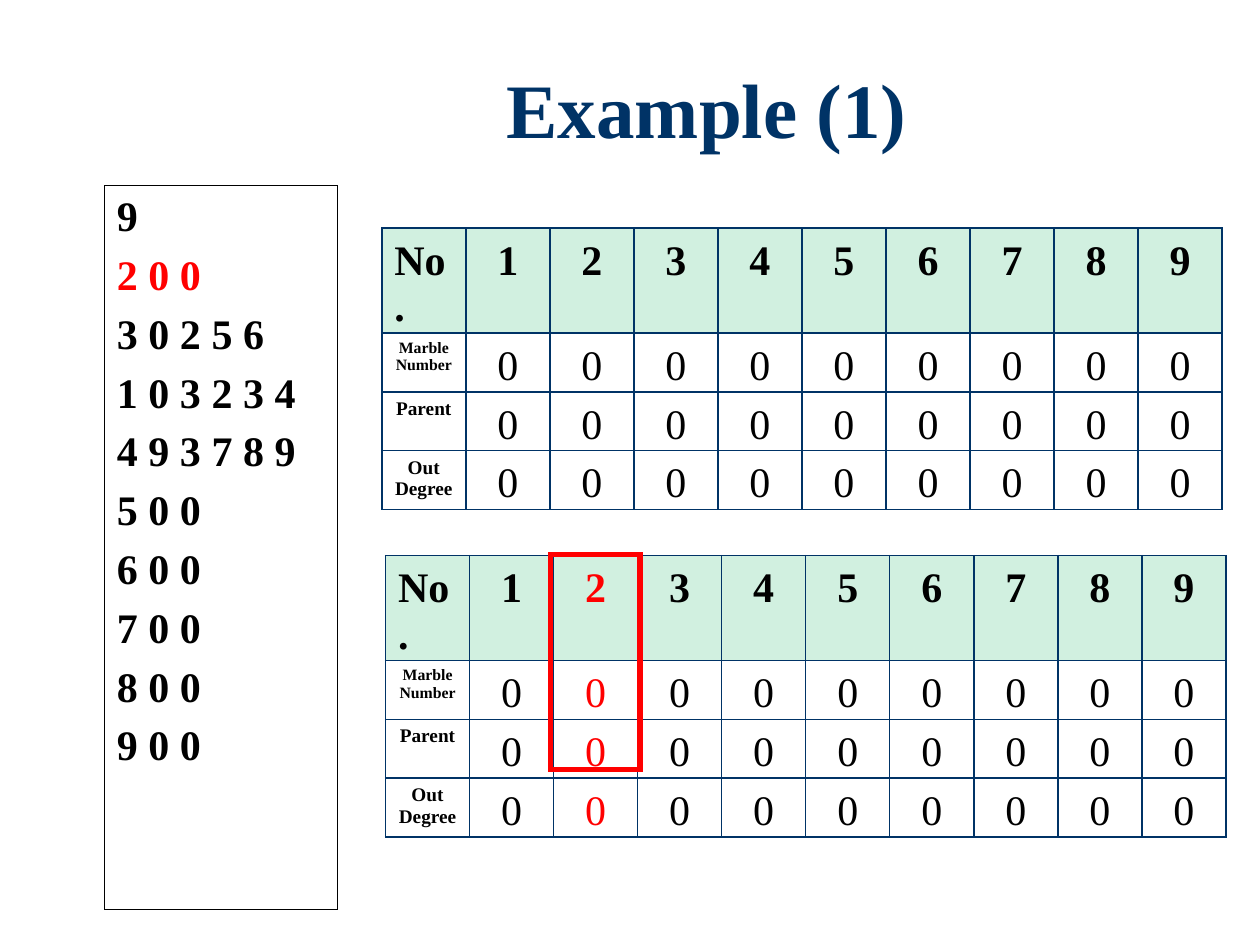
from lxml import etree
from pptx import Presentation
from pptx.dml.color import RGBColor
from pptx.enum.shapes import MSO_SHAPE
from pptx.enum.text import MSO_ANCHOR, PP_ALIGN
from pptx.oxml.ns import qn
from pptx.util import Inches, Pt

RECTANGLE = MSO_SHAPE.RECTANGLE
TOP, MIDDLE = MSO_ANCHOR.TOP, MSO_ANCHOR.MIDDLE
LEFT, CENTER, JUSTIFY = PP_ALIGN.LEFT, PP_ALIGN.CENTER, PP_ALIGN.JUSTIFY

FONT = "Times New Roman"
NAVY, BLACK, RED, WHITE, MINT = "003366", "000000", "FF0000", "FFFFFF", "D1F0E0"
LINE_HEIGHT = Pt(26.4)  # for 24 point text

INPUT_LINES = ["9", "2 0 0", "3 0 2 5 6", "1 0 3 2 3 4", "4 9 3 7 8 9",
               "5 0 0", "6 0 0", "7 0 0", "8 0 0", "9 0 0"]
ACTIVE_LINE = 1
NODE_COUNT = 9
ROW_LABELS = [("Marble\nNumber", 9), ("Parent", 11), ("Out\nDegree", 11)]


def color(value):
    return RGBColor.from_string(value)


def write(para, text, size=24, tint=BLACK, bold=True, align=CENTER,
          before=None, spacing=None):
    para.alignment = align
    if before is not None:
        para.space_before = Pt(before)
    if spacing is not None:
        para.line_spacing = spacing
    span = para.add_run()
    span.text = text
    span.font.name = FONT
    span.font.size = Pt(size)
    span.font.bold = bold
    span.font.color.rgb = color(tint)


def add_box(page, place, line, width, fill=None):
    box = page.shapes.add_shape(RECTANGLE, *map(Inches, place))
    box.shadow.inherit = False
    if fill:
        box.fill.solid()
        box.fill.fore_color.rgb = color(fill)
    else:
        box.fill.background()
    box.line.color.rgb = color(line)
    box.line.width = Pt(width)
    # Square corners
    outline = box._element.spPr.find(qn("a:ln"))
    etree.SubElement(outline, qn("a:miter"), lim="800000")
    return box


def add_title(page, place, text):
    frame = page.shapes.add_textbox(*map(Inches, place)).text_frame
    frame.word_wrap = True
    frame.vertical_anchor = MIDDLE
    frame.margin_top, frame.margin_bottom = 0, Inches(0.16)
    write(frame.paragraphs[0], text, size=44, tint=NAVY, spacing=0.9)


def add_input_list(page, place):
    frame = add_box(page, place, BLACK, 0.75, WHITE).text_frame
    frame.word_wrap = True
    frame.vertical_anchor = TOP
    frame.margin_top = Inches(0.07)
    for index, line in enumerate(INPUT_LINES):
        para = frame.add_paragraph() if index else frame.paragraphs[0]
        write(para, line, align=JUSTIFY, before=7.2 if index else 0,
              tint=RED if index == ACTIVE_LINE else BLACK, spacing=LINE_HEIGHT)


def style_cell(cell, fill):
    # Borders come before the fill in the cell properties
    properties = cell._tc.get_or_add_tcPr()
    for side in ("a:lnL", "a:lnR", "a:lnT", "a:lnB"):
        edge = etree.SubElement(properties, qn(side), w=str(Pt(1)))
        solid = etree.SubElement(edge, qn("a:solidFill"))
        etree.SubElement(solid, qn("a:srgbClr"), val=NAVY)
    cell.fill.solid()
    cell.fill.fore_color.rgb = color(fill)


def write_label(cell, label, size):
    for index, line in enumerate(label.split("\n")):
        frame = cell.text_frame
        para = frame.add_paragraph() if index else frame.paragraphs[0]
        write(para, line, size=size)


def write_value(cell, text, **style):
    cell.margin_top, cell.margin_bottom = Inches(0.08), Inches(0.02)
    write(cell.text_frame.paragraphs[0], text, spacing=LINE_HEIGHT, **style)


def add_state_table(page, place, red_node=None):
    rows, columns = len(ROW_LABELS) + 1, NODE_COUNT + 1
    table = page.shapes.add_table(rows, columns, *map(Inches, place)).table
    for row in range(rows):
        for column in range(columns):
            cell = table.cell(row, column)
            style_cell(cell, WHITE if row else MINT)
            if column:
                write_value(cell, "0" if row else str(column), bold=not row,
                            tint=RED if column == red_node else BLACK)
            elif row:
                write_label(cell, *ROW_LABELS[row - 1])
            else:
                write_value(cell, "No.", align=LEFT)


def main():
    deck = Presentation()
    deck.slide_width, deck.slide_height = Inches(10), Inches(7.5)
    page = deck.slides.add_slide(deck.slide_layouts[6])

    add_title(page, (1.61, 0.52, 8, 0.92), "Example (1)")

    # State before and after reading the active line
    add_state_table(page, (3.03, 1.81, 6.67, 1.68))
    add_input_list(page, (0.83, 1.47, 1.85, 5.75))
    add_state_table(page, (3.06, 4.41, 6.67, 1.68), red_node=2)

    # Frame around the active node
    add_box(page, (4.37, 4.4, 0.71, 1.71), RED, 3)

    deck.save("out.pptx")


if __name__ == "__main__":
    main()
